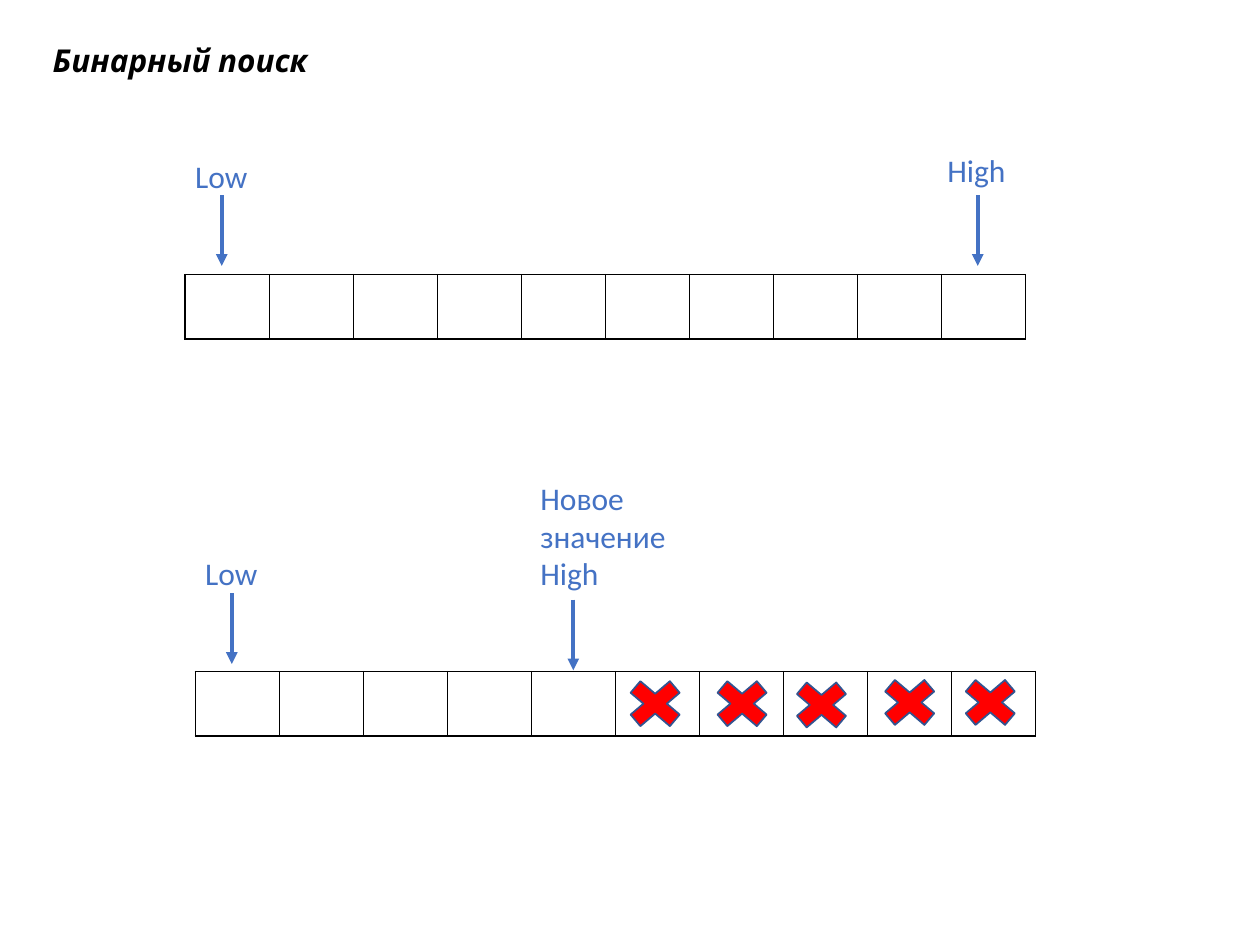
from lxml import etree
from pptx import Presentation
from pptx.dml.color import RGBColor
from pptx.enum import shapes, text
from pptx.oxml import ns
from pptx.util import Inches, Pt

BLUE = "4472C4"
BLACK = "000000"
CELL_COUNT = 10
ARRAY_WIDTH = 6.67
ROW_HEIGHT = 0.51
ARROW_LENGTH = 0.56


def color(hex_value):
    return RGBColor.from_string(hex_value)


def add_label(slide, words, left, top, width, height=0.4, wrap=False,
              font_name="Calibri", font_color=BLUE, emphasis=None):
    box = slide.shapes.add_textbox(Inches(left), Inches(top), Inches(width), Inches(height))
    frame = box.text_frame
    frame.word_wrap = wrap
    frame.auto_size = text.MSO_AUTO_SIZE.SHAPE_TO_FIT_TEXT
    run = frame.paragraphs[0].add_run()
    run.text = words
    run.font.name = font_name
    run.font.size = Pt(18)
    run.font.bold = emphasis
    run.font.italic = emphasis
    run.font.color.rgb = color(font_color)


def add_cell_borders(cell):
    properties = cell._tc.get_or_add_tcPr()
    for side in ("lnL", "lnR", "lnT", "lnB"):
        line = etree.SubElement(properties, ns.qn(f"a:{side}"), w=str(Pt(1)))
        fill = etree.SubElement(line, ns.qn("a:solidFill"))
        etree.SubElement(fill, ns.qn("a:srgbClr"), val=BLACK)


def add_array(slide, left, top):
    """Draw the searched array as a one-row table of empty cells."""
    frame = slide.shapes.add_table(1, CELL_COUNT, Inches(left), Inches(top),
                                   Inches(ARRAY_WIDTH), Inches(ROW_HEIGHT))
    table = frame.table
    for column in table.columns:
        column.width = Inches(ARRAY_WIDTH / CELL_COUNT)
    for cell in table.iter_cells():
        add_cell_borders(cell)
        cell.fill.solid()
        cell.fill.fore_color.rgb = color("FFFFFF")


def add_down_arrow(slide, x, top):
    arrow = slide.shapes.add_connector(shapes.MSO_CONNECTOR.STRAIGHT, Inches(x), Inches(top),
                                       Inches(x), Inches(top + ARROW_LENGTH))
    arrow.line.color.rgb = color(BLUE)
    arrow.line.width = Pt(2.25)
    etree.SubElement(arrow.line._get_or_add_ln(), ns.qn("a:tailEnd"), type="triangle")
    etree.SubElement(arrow._element.spPr, ns.qn("a:effectLst"))


def add_cross(slide, left, top):
    """Mark a discarded cell."""
    cross = slide.shapes.add_shape(shapes.MSO_SHAPE.MATH_MULTIPLY, Inches(left), Inches(top),
                                   Inches(0.6), Inches(ROW_HEIGHT))
    cross.shadow.inherit = False
    cross.fill.solid()
    cross.fill.fore_color.rgb = color("FF0000")
    cross.line.color.rgb = color("325491")
    cross.line.width = Pt(1)


def main():
    presentation = Presentation()
    presentation.slide_width = Inches(10)
    presentation.slide_height = Inches(7.5)
    slide = presentation.slides.add_slide(presentation.slide_layouts[6])

    add_label(slide, "Бинарный поиск", 0.32, 0.28, 2.25,
              font_name="Karla", font_color=BLACK, emphasis=True)

    add_array(slide, 1.47, 2.18)
    for x in (1.76, 7.76):
        add_down_arrow(slide, x, 1.55)
    add_label(slide, "Low", 1.45, 1.2, 0.62)
    add_label(slide, "High", 7.42, 1.15, 0.67)

    add_array(slide, 1.55, 5.33)
    for x, top in ((1.84, 4.71), (4.55, 4.76)):
        add_down_arrow(slide, x, top)
    add_label(slide, "Low", 1.53, 4.35, 0.62)
    add_label(slide, "Новое значение High", 4.19, 3.75, 1.22, 1.01, wrap=True)
    for left, top in ((4.9, 5.33), (5.59, 5.33), (6.22, 5.34), (6.92, 5.32), (7.56, 5.32)):
        add_cross(slide, left, top)

    presentation.save("out.pptx")


if __name__ == "__main__":
    main()
